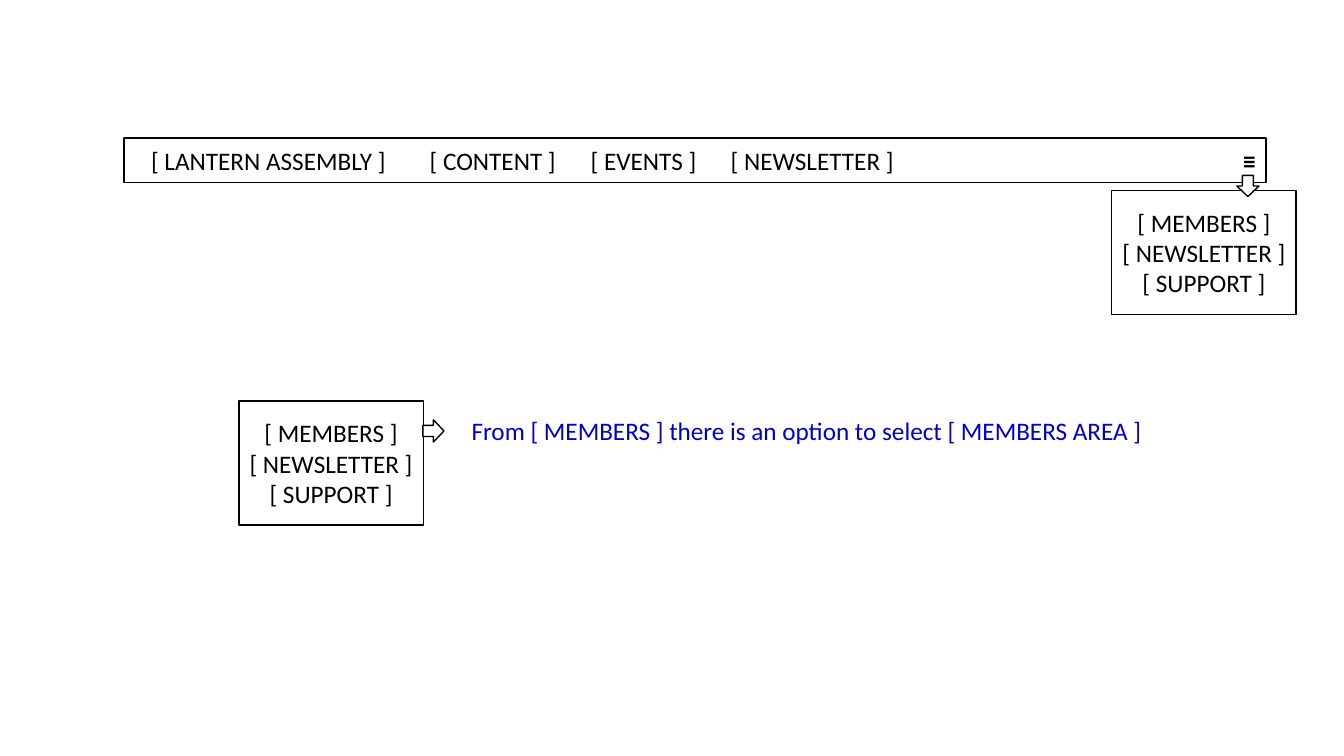
import dataclasses
import pptx
import pptx.dml.color
import pptx.enum.shapes
import pptx.enum.text
import pptx.oxml
import pptx.oxml.ns
import pptx.util

Pt = pptx.util.Pt
RGB = pptx.dml.color.RGBColor
SHAPE = pptx.enum.shapes.MSO_SHAPE
ALIGN = pptx.enum.text.PP_ALIGN
ANCHOR = pptx.enum.text.MSO_ANCHOR


@dataclasses.dataclass(frozen=True)
class Theme:
    font: str = "Calibri"
    size: float = 18
    line_width: float = 1
    paper: RGB = RGB(0xFF, 0xFF, 0xFF)
    ink: RGB = RGB(0, 0, 0)
    note: RGB = RGB(0, 0, 0xCC)


class Wireframe:
    def __init__(self, s, theme):
        self.s = s
        self.theme = theme

    def shape(self, kind, x, y, w, h):
        sp = self.s.shapes.add_shape(kind, Pt(x), Pt(y), Pt(w), Pt(h))
        sp.shadow.inherit = False
        sp.fill.solid()
        sp.fill.fore_color.rgb = self.theme.paper
        sp.line.color.rgb = self.theme.ink
        sp.line.width = Pt(self.theme.line_width)
        return sp

    def run(self, p, text, color, bold=False):
        r = p.add_run()
        r.text = text
        r.font.name = self.theme.font
        r.font.size = Pt(self.theme.size)
        r.font.color.rgb = color
        r.font.bold = bold

    def tabs(self, p, stops):
        pPr = p._p.get_or_add_pPr()
        tabs = pptx.oxml.parse_xml("<a:tabLst %s/>" % pptx.oxml.ns.nsdecls("a"))
        for stop in stops:
            tab = tabs.makeelement(pptx.oxml.ns.qn("a:tab"), {"pos": str(Pt(stop)), "algn": "l"})
            tabs.append(tab)
        pPr.append(tabs)

    def nav_bar(self, x, y, w, h, links, icon, stops):
        tf = self.shape(SHAPE.RECTANGLE, x, y, w, h).text_frame
        tf.word_wrap = True
        tf.vertical_anchor = ANCHOR.MIDDLE
        tf.margin_left = Pt(19.4)
        tf.margin_right = 0
        p = tf.paragraphs[0]
        p.alignment = ALIGN.LEFT
        self.tabs(p, stops)
        for link in links:
            self.run(p, link + "\t", self.theme.ink)
        self.run(p, icon, self.theme.ink, bold=True)

    def menu(self, x, y, items):
        tf = self.shape(SHAPE.RECTANGLE, x, y, 131.76, 88.56).text_frame
        tf.word_wrap = True
        tf.vertical_anchor = ANCHOR.MIDDLE
        for i, item in enumerate(items):
            p = tf.add_paragraph() if i else tf.paragraphs[0]
            p.alignment = ALIGN.CENTER
            self.run(p, item, self.theme.ink)

    def arrow(self, x, y, rotation=0):
        sp = self.shape(SHAPE.DOWN_ARROW, x, y, 15.84, 15.12)
        sp.rotation = rotation

    def note(self, x, y, w, h, text):
        tf = self.s.shapes.add_textbox(Pt(x), Pt(y), Pt(w), Pt(h)).text_frame
        tf.word_wrap = True
        tf.auto_size = pptx.enum.text.MSO_AUTO_SIZE.SHAPE_TO_FIT_TEXT
        self.run(tf.paragraphs[0], text, self.theme.note)


def main():
    prs = pptx.Presentation()
    prs.slide_width = Pt(960)
    prs.slide_height = Pt(540)
    page = Wireframe(prs.slides.add_slide(prs.slide_layouts[6]), Theme())

    links = ["[ LANTERN ASSEMBLY ]", "[ CONTENT ]", "[ EVENTS ]", "[ NEWSLETTER ]"]
    menu_items = ["[ MEMBERS ]", "[ NEWSLETTER ]", "[ SUPPORT ]"]

    page.nav_bar(88.56, 98.64, 815.76, 31.68, links, "≡", [199, 314, 414, 780])
    page.menu(794.16, 136.08, menu_items)
    page.arrow(883.44, 125.28)
    page.menu(170.64, 286.56, menu_items)
    page.arrow(301.68, 300.24, rotation=270)
    page.note(329.76, 293.04, 548.64, 28.8,
              "From [ MEMBERS ] there is an option to select [ MEMBERS AREA ]")

    prs.save("out.pptx")


if __name__ == "__main__":
    main()
